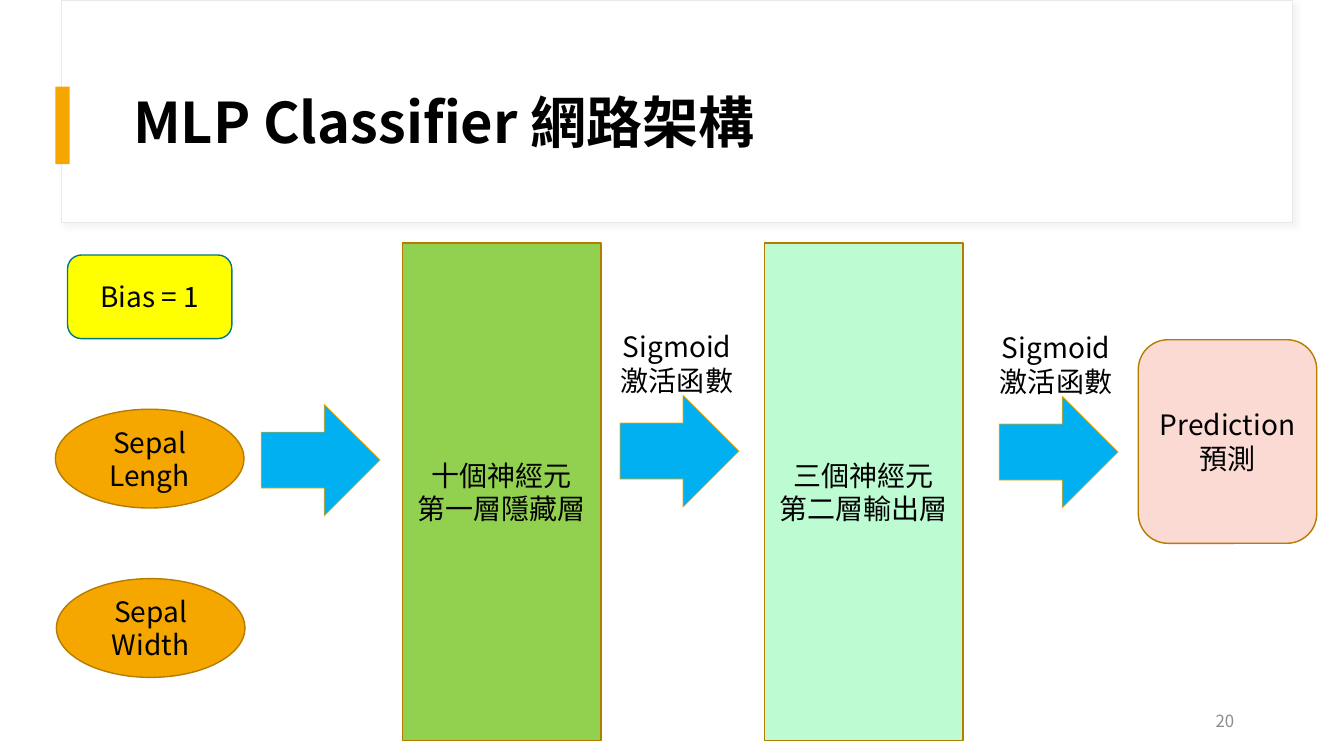
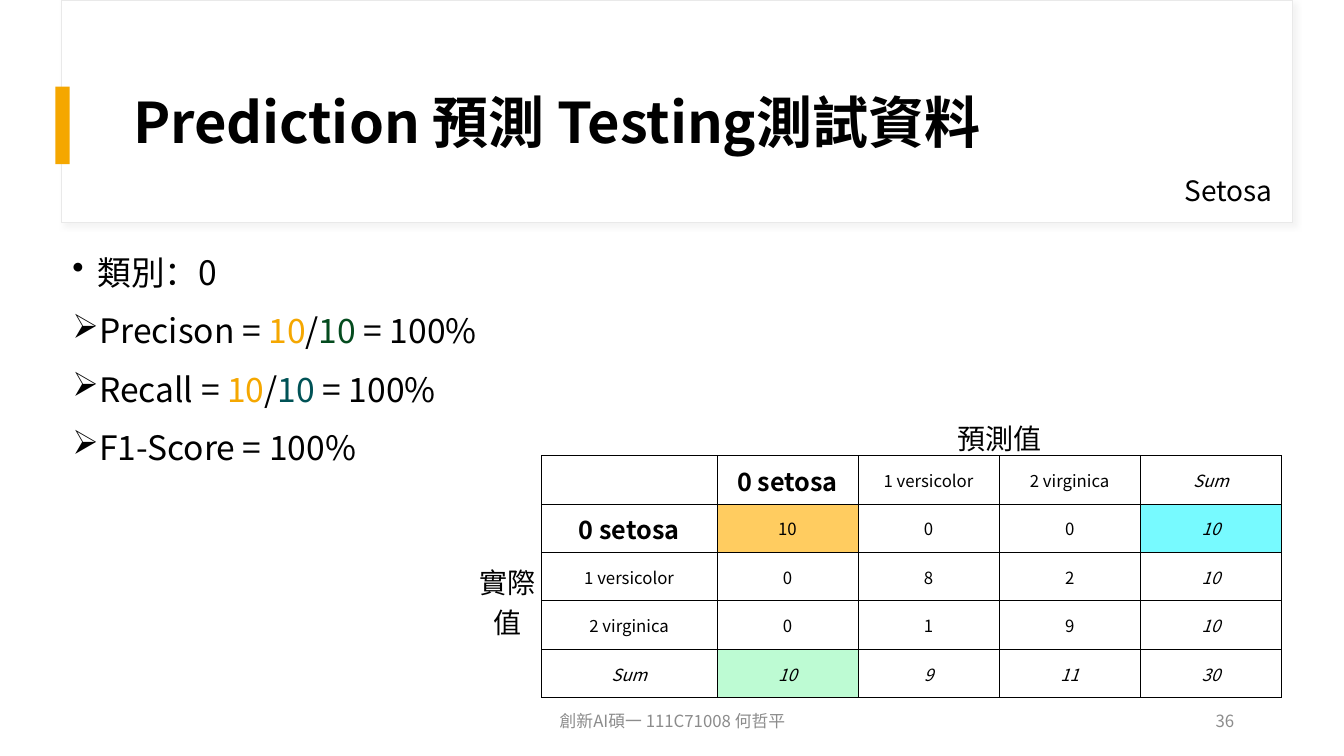
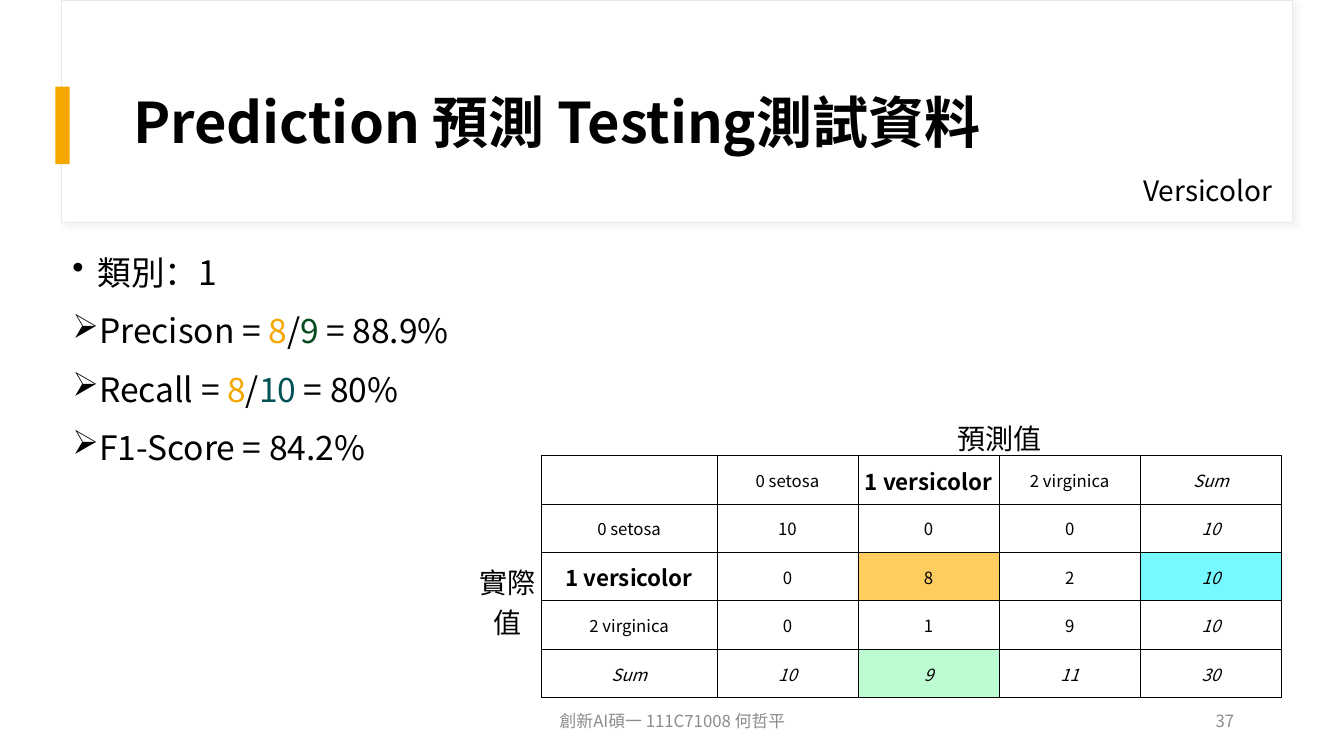
"""Build three slides on an MLP classifier and its test results."""
from lxml import etree
from pptx import Presentation
from pptx import util as u
from pptx.dml.color import RGBColor
from pptx.enum import shapes, text
from pptx.oxml import parse_xml
from pptx.oxml.ns import nsdecls, qn

FONT = "Noto Sans CJK SC"
ORANGE, OCHRE, BLACK, GREY = "F5A700", "B57C00", "000000", "8C8C8C"
GREEN, TEAL, MINT, SKY = "044B1E", "005256", "BDFBD3", "00B0F0"
Kind, Align, Anchor = shapes.MSO_SHAPE, text.PP_ALIGN, text.MSO_ANCHOR
Inches, Pt = u.Inches, u.Pt


def paint(target, color):
    """Give a fill or a line a solid colour."""
    target.solid()
    target.fore_color.rgb = RGBColor.from_string(color)


def write(frame, paragraphs, size=20, color=BLACK, bold=False, italic=False,
          align=Align.CENTER, spacing=None, before=0, bullets=""):
    """Fill a text frame; a paragraph is a string or a list of (text, colour)."""
    frame.word_wrap = True
    for i, content in enumerate(paragraphs):
        paragraph = frame.paragraphs[0] if i == 0 else frame.add_paragraph()
        paragraph.alignment = align
        paragraph.line_spacing = spacing
        paragraph.space_before = Pt(before)
        if bullets:
            props = paragraph._p.get_or_add_pPr()
            props.set("marL", str(Inches(0.25)))
            props.set("indent", str(-Inches(0.25)))
            etree.SubElement(props, qn("a:buChar")).set("char", bullets[i])
        for words, tint in [(content, color)] if isinstance(content, str) else content:
            run = paragraph.add_run()
            run.text = words
            run.font.size, run.font.bold, run.font.italic = Pt(size), bold, italic
            paint(run.font.fill, tint)
            run.font.name = FONT
            etree.SubElement(run._r.get_or_add_rPr(), qn("a:ea")).set("typeface", FONT)


deck = Presentation()
deck.slide_width, deck.slide_height = Inches(13.33), Inches(7.5)
layout = deck.slide_layouts[5]
heading = layout.placeholders[0]
heading.left, heading.top = Inches(1.22), Inches(0.6)
heading.width, heading.height = Inches(11.12), Inches(1.29)
heading.text_frame.vertical_anchor = Anchor.MIDDLE

pages = []
for title, number, footer in [
    ("MLP Classifier 網路架構", "20", ""),
    ("Prediction 預測 Testing測試資料", "36", "創新AI碩一 111C71008 何哲平"),
    ("Prediction 預測 Testing測試資料", "37", "創新AI碩一 111C71008 何哲平"),
]:
    page = deck.slides.add_slide(layout)
    pages.append(page)
    write(page.shapes.title.text_frame, [title], size=40, bold=True,
          align=Align.LEFT, spacing=0.9)
    for words, left, width, align in [(number, 9.34, 3, Align.RIGHT),
                                      (footer, 4.42, 4.5, Align.CENTER)]:
        if words:
            note = page.shapes.add_textbox(Inches(left), Inches(6.95), Inches(width), Inches(0.4))
            note.text_frame.vertical_anchor = Anchor.MIDDLE
            write(note.text_frame, [words], size=12, color=GREY, align=align)

network, *results = pages

for depth, (left, top, width, height, fill, edge) in enumerate([
    (0.61, 0, 12.21, 2.21, "FFFFFF", "E9E9E9"),
    (0.55, 0.86, 0.14, 0.77, ORANGE, ""),
]):
    band = network.shapes.add_shape(Kind.RECTANGLE, Inches(left), Inches(top),
                                    Inches(width), Inches(height))
    band.shadow.inherit = False
    paint(band.fill, fill)
    if edge:
        paint(band.line.fill, edge)
        band.line.width = Pt(0.75)
        band.element.spPr.find(qn("a:effectLst")).append(parse_xml(
            f'<a:outerShdw {nsdecls("a")} blurRad="{Pt(4)}" dist="{Pt(3)}" dir="2700000">'
            '<a:srgbClr val="D9D9D9"><a:alpha val="30000"/></a:srgbClr></a:outerShdw>'))
    else:
        band.line.fill.background()
    layout.shapes.element.insert(2 + depth, band.element)

for kind, left, top, width, height, fill, edge, weight, words in [
    (Kind.OVAL, 0.55, 4.06, 1.87, 0.98, ORANGE, OCHRE, 1, ["Sepal Lengh"]),
    (Kind.OVAL, 0.56, 5.74, 1.87, 0.98, ORANGE, OCHRE, 1, ["Sepal Width"]),
    (Kind.ROUNDED_RECTANGLE, 0.67, 2.53, 1.63, 0.83, "FFFF00", "007A7F", 1, ["Bias = 1"]),
    (Kind.RECTANGLE, 3.99, 2.41, 1.97, 4.94, "92D050", OCHRE, 1, ["十個神經元", "第一層隱藏層"]),
    (Kind.RECTANGLE, 7.58, 2.41, 1.97, 4.94, MINT, OCHRE, 1, ["三個神經元", "第二層輸出層"]),
    (Kind.ROUNDED_RECTANGLE, 11.29, 3.37, 1.77, 2.02, "FADAD3", OCHRE, 1, ["Prediction", "預測"]),
    (Kind.RIGHT_ARROW, 2.59, 4.01, 1.18, 1.11, SKY, ORANGE, 0.5, []),
    (Kind.RIGHT_ARROW, 6.15, 3.92, 1.18, 1.11, SKY, ORANGE, 0.5, []),
    (Kind.RIGHT_ARROW, 9.91, 3.93, 1.18, 1.11, SKY, ORANGE, 0.5, []),
]:
    node = network.shapes.add_shape(kind, Inches(left), Inches(top), Inches(width), Inches(height))
    node.shadow.inherit = False
    paint(node.fill, fill)
    paint(node.line.fill, edge)
    node.line.width = Pt(weight)
    node.text_frame.vertical_anchor = Anchor.MIDDLE
    write(node.text_frame, words)

for left, top in [(5.9, 3.22), (9.66, 3.23)]:
    activation = network.shapes.add_textbox(Inches(left), Inches(top), Inches(1.63), Inches(0.77))
    write(activation.text_frame, ["Sigmoid", "激活函數"])

labels = ["0 setosa", "1 versicolor", "2 virginica", "Sum"]
counts = [[10, 0, 0], [0, 8, 2], [0, 1, 9]]
matrix = [row + [sum(row)] for row in counts]
matrix.append([sum(column) for column in zip(*matrix)])
grid = [["", "", "預測值", "", "", ""], ["", ""] + labels]
grid += [["", label] + row for label, row in zip(labels, matrix)]
grid[2][0] = "實際值"
sides = [("a:lnL", 0, -1), ("a:lnR", 0, 1), ("a:lnT", -1, 0), ("a:lnB", 1, 0)]

for target, (page, species, label_size) in enumerate(zip(results, ["Setosa", "Versicolor"], [18, 16])):
    hits, predicted, actual = matrix[target][target], matrix[3][target], matrix[target][3]
    precision, recall = 100 * hits / predicted, 100 * hits / actual
    f1 = 2 * precision * recall / (precision + recall)

    scores = page.shapes.add_textbox(Inches(0.62), Inches(2.41), Inches(11.12), Inches(4.04))
    write(scores.text_frame, [
        f"類別：{target}",
        [("Precison = ", BLACK), (f"{hits}", ORANGE), ("/", BLACK),
         (f"{predicted}", GREEN), (f" = {precision:.3g}%", BLACK)],
        [("Recall = ", BLACK), (f"{hits}", ORANGE), ("/", BLACK),
         (f"{actual}", TEAL), (f" = {recall:.3g}%", BLACK)],
        f"F1-Score = {f1:.3g}%",
    ], size=24, align=Align.LEFT, spacing=1.1, before=10, bullets="•➢➢➢")

    subtitle = page.shapes.add_textbox(Inches(10.76), Inches(1.67), Inches(1.96), Inches(0.44))
    write(subtitle.text_frame, [species], align=Align.RIGHT)

    confusion = page.shapes.add_table(6, 6, Inches(4.69), Inches(4.13), Inches(8.03), Inches(2.77)).table
    confusion.first_row = confusion.horz_banding = False
    for column, width in zip(confusion.columns, [0.68, 1.74] + [1.4] * 4):
        column.width = Inches(width)
    for row, height in zip(confusion.rows, [0.39] + [0.48] * 5):
        row.height = Inches(height)
    confusion.cell(0, 2).merge(confusion.cell(0, 5))
    confusion.cell(2, 0).merge(confusion.cell(5, 0))

    highlights = {(target + 2, target + 2): "FFCC60", (target + 2, 5): "77FAFF", (5, target + 2): MINT}
    focus = [(1, target + 2), (target + 2, 1)]
    for r, values in enumerate(grid):
        for c, value in enumerate(values):
            cell = confusion.cell(r, c)
            cell.vertical_anchor = Anchor.MIDDLE
            cell.margin_left = cell.margin_right = cell.margin_top = Inches(0.01)
            cell.margin_bottom = 0
            if value == "":
                cell.text_frame.paragraphs[0].font.size = Pt(12)
            else:
                size = 20 if 0 in (r, c) else label_size if (r, c) in focus else 12
                write(cell.text_frame, [str(value)], size=size, bold=(r, c) in focus,
                      italic=5 in (r, c) and min(r, c) > 0)
            if (r, c) in highlights:
                paint(cell.fill, highlights[r, c])
            else:
                cell.fill.background()
            for place, (side, down, across) in enumerate(sides):
                ruled = min(r, c) > 0 or min(r + down, c + across) > 0
                ink = f'<a:solidFill><a:srgbClr val="{BLACK}"/></a:solidFill>' if ruled else "<a:noFill/>"
                cell._tc.get_or_add_tcPr().insert(place, parse_xml(
                    f'<{side} {nsdecls("a")} w="{Pt(0.5)}">{ink}</{side}>'))

deck.save("out.pptx")
